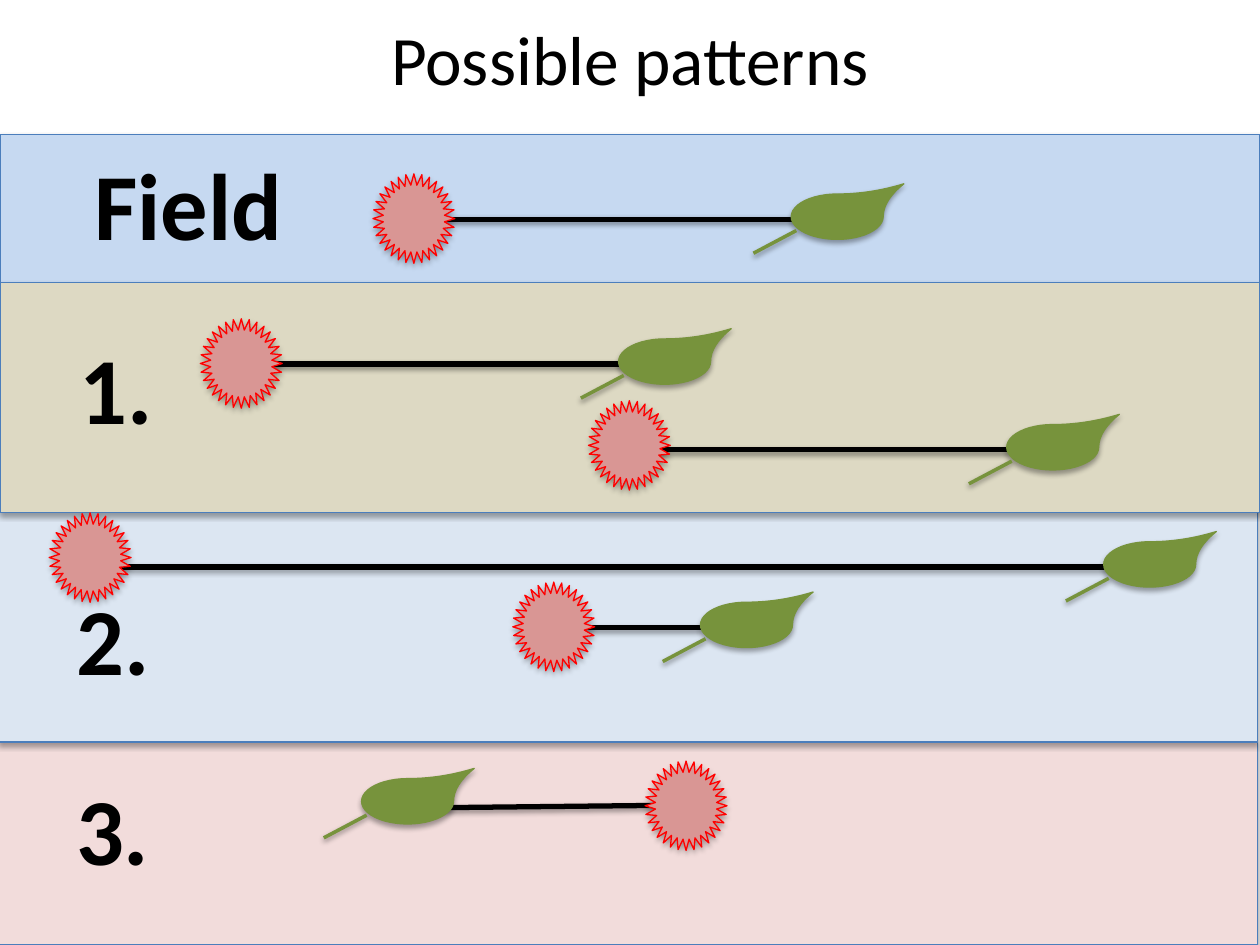
from dataclasses import dataclass

from lxml import etree
from pptx import Presentation
from pptx.dml.color import RGBColor
from pptx.enum.shapes import MSO_CONNECTOR, MSO_SHAPE
from pptx.enum.text import MSO_ANCHOR, PP_ALIGN
from pptx.oxml.ns import qn
from pptx.util import Inches, Pt


@dataclass(frozen=True)
class Theme:
    font: str = "Calibri"
    title_size: float = 39.6
    label_size: float = 54
    text: str = "000000"
    axis: str = "000000"
    leaf: str = "77933C"
    burst: str = "D99694"
    burst_edge: str = "FF0000"
    band_edge: str = "4B7EBC"
    field_band: str = "C6D9F1"
    first_band: str = "DDD9C3"
    second_band: str = "DCE6F2"
    third_band: str = "F2DCDB"
    edge_width: float = 0.75
    axis_width: float = 3
    stalk_width: float = 2


THEME = Theme()

# left, top, width, height, fill; from back to front
BANDS = [
    (0, 1.07, 10, 1.33, THEME.field_band),
    (-0.02, 5.89, 10, 1.61, THEME.third_band),
    (-0.02, 3.97, 10, 1.92, THEME.second_band),
    (0, 2.24, 10, 1.83, THEME.first_band),
]

# burst corner, leaf corner, axis start, axis end
PLANTS = [
    ((2.96, 1.38), (6.28, 1.54), (6.3, 1.74), (3.52, 1.74)),
    ((1.59, 2.53), (4.91, 2.69), (4.93, 2.89), (2.15, 2.89)),
    ((4.67, 3.18), (7.99, 3.37), (8, 3.57), (5.22, 3.57)),
    ((4.07, 4.62), (5.56, 4.78), (5.57, 4.98), (4.57, 4.98)),
    ((5.12, 6.04), (2.87, 6.18), (5.44, 6.39), (3.52, 6.41)),
    ((0.39, 4.07), (8.76, 4.3), (8.77, 4.5), (0.89, 4.5)),
]

LABELS = [
    ("Field", 0.2, 1.11, 2.59),
    ("3.", 0.06, 6.07, 1.67),
    ("2.", 0.07, 4.56, 1.65),
    ("1.", 0.11, 2.57, 1.62),
]


def add_shadow(element, distance, opacity):
    """Give a shape or connector a soft shadow straight below it."""
    properties = element._element.spPr
    effects = etree.SubElement(properties, qn("a:effectLst"))
    shadow = etree.SubElement(
        effects, qn("a:outerShdw"), blurRad=str(Pt(3.1)), dist=str(Pt(distance)),
        dir="5400000", rotWithShape="0")
    color = etree.SubElement(shadow, qn("a:srgbClr"), val="000000")
    etree.SubElement(color, qn("a:alpha"), val=str(opacity * 1000))


def add_filled_shape(page, preset, left, top, width, height, fill, edge):
    shape = page.shapes.add_shape(
        preset, Inches(left), Inches(top), Inches(width), Inches(height))
    shape.fill.solid()
    shape.fill.fore_color.rgb = RGBColor.from_string(fill)
    shape.line.color.rgb = RGBColor.from_string(edge)
    shape.line.width = Pt(THEME.edge_width)
    add_shadow(shape, 1.8, 35)
    return shape


def add_line(page, start, end, color, width):
    line = page.shapes.add_connector(
        MSO_CONNECTOR.STRAIGHT, *(Inches(value) for value in (*start, *end)))
    line.line.color.rgb = RGBColor.from_string(color)
    line.line.width = Pt(width)
    add_shadow(line, 1.6, 38)


def add_plant(page, burst, leaf, start, end):
    """Draw a burst and a stalked leaf joined by an axis."""
    add_line(page, start, end, THEME.axis, THEME.axis_width)
    blade = add_filled_shape(
        page, MSO_SHAPE.TEAR, *leaf, 0.73, 0.36, THEME.leaf, THEME.leaf)
    blade.adjustments[0] = 1.45
    add_filled_shape(page, MSO_SHAPE.STAR_32_POINT, *burst, 0.65, 0.71,
                     THEME.burst, THEME.burst_edge)
    left, top = leaf
    add_line(page, (left - 0.3, top + 0.47), (left + 0.04, top + 0.29),
             THEME.leaf, THEME.stalk_width)


def add_text(page, text, left, top, width, height, size,
             bold=False, anchor=MSO_ANCHOR.TOP):
    box = page.shapes.add_textbox(
        Inches(left), Inches(top), Inches(width), Inches(height))
    frame = box.text_frame
    frame.word_wrap = True
    frame.vertical_anchor = anchor
    para = frame.paragraphs[0]
    para.text = text
    para.alignment = PP_ALIGN.CENTER
    para.font.name = THEME.font
    para.font.size = Pt(size)
    para.font.bold = bold
    para.font.color.rgb = RGBColor.from_string(THEME.text)


def main():
    deck = Presentation()
    deck.slide_width, deck.slide_height = Inches(10), Inches(7.5)
    page = deck.slides.add_slide(deck.slide_layouts[6])
    for *bounds, fill in BANDS:
        add_filled_shape(page, MSO_SHAPE.RECTANGLE, *bounds, fill, THEME.band_edge)
    add_text(page, "Possible patterns", 0.5, 0.12, 9, 0.68,
             THEME.title_size, anchor=MSO_ANCHOR.MIDDLE)
    for plant in PLANTS:
        add_plant(page, *plant)
    for text, left, top, width in LABELS:
        add_text(page, text, left, top, width, 1.01, THEME.label_size, bold=True)
    deck.save("out.pptx")


if __name__ == "__main__":
    main()
